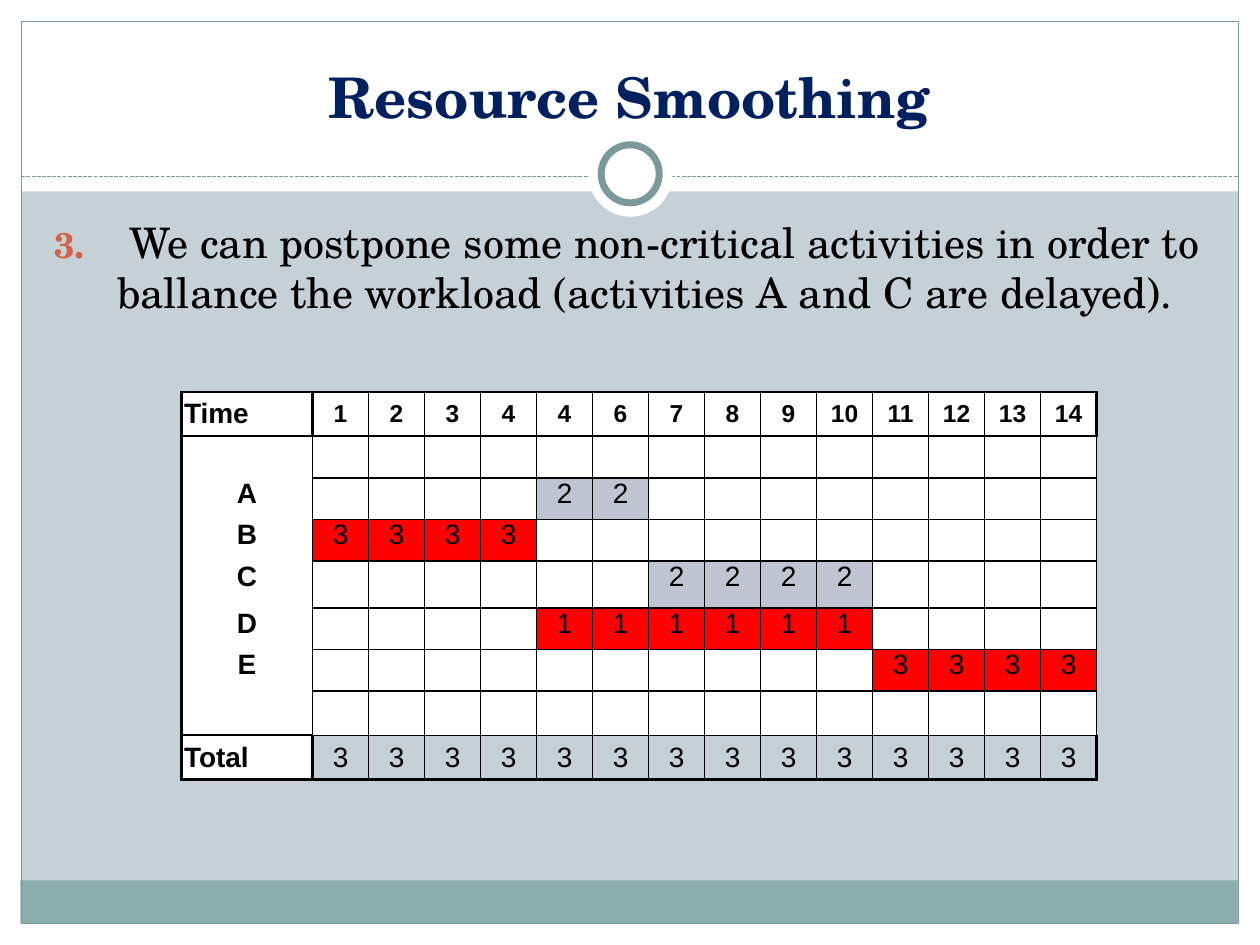
from lxml import etree
from pptx import Presentation
from pptx import util as u
from pptx.dml.color import RGBColor
from pptx.enum import dml, shapes, text
from pptx.oxml import ns

COLORS = {
    "white": "FFFFFF", "black": "000000", "canvas": "C5D1D7",
    "band": "8CADAE", "rule": "7C999A", "title": "002060",
    "number": "D16349", "noncritical": "C0C3D0", "critical": "FF0000",
}


def rgb(name):
    return RGBColor.from_string(COLORS[name])


class Deck:
    """Holds the style and the current slide."""
    serif, sans = "TeX Gyre Schola", "Arial"

    def __init__(self, prs):
        self.s = prs.slides.add_slide(prs.slide_layouts[6])
        self.s.background.fill.solid()
        self.s.background.fill.fore_color.rgb = rgb("canvas")

    def shape(self, kind, x, y, w, h, fill=None, line=None, width=0.75):
        sp = self.s.shapes.add_shape(kind, u.Cm(x), u.Cm(y), u.Cm(w), u.Cm(h))
        sp.shadow.inherit = False
        self.paint(sp.fill, fill)
        self.paint(sp.line.fill, line)
        if line:
            sp.line.width = u.Pt(width)
        return sp

    def paint(self, fill, color):
        if color:
            fill.solid()
            fill.fore_color.rgb = rgb(color)
        else:
            fill.background()

    def dashed_line(self, x1, y1, x2, y2, color):
        cn = self.s.shapes.add_connector(shapes.MSO_CONNECTOR.STRAIGHT,
                                         u.Cm(x1), u.Cm(y1), u.Cm(x2), u.Cm(y2))
        cn.line.color.rgb = rgb(color)
        cn.line.width = u.Pt(0.75)
        cn.line.dash_style = dml.MSO_LINE.SQUARE_DOT
        etree.SubElement(cn._element.spPr, ns.qn("a:effectLst"))

    def text_box(self, x, y, w, h, anchor):
        sp = self.s.shapes.add_textbox(u.Cm(x), u.Cm(y), u.Cm(w), u.Cm(h))
        tf = sp.text_frame
        tf.word_wrap = True
        tf.vertical_anchor = anchor
        return tf.paragraphs[0]

    def run(self, p, words, size, font, color="black", bold=False):
        r = p.add_run()
        r.text = words
        r.font.size, r.font.name, r.font.bold = u.Pt(size), font, bold
        r.font.color.rgb = rgb(color)

    def number(self, p, start, color, indent):
        pPr = p._p.get_or_add_pPr()
        pPr.set("marL", str(u.Cm(indent)))
        pPr.set("indent", str(-u.Cm(indent)))
        clr = etree.SubElement(pPr, ns.qn("a:buClr"))
        etree.SubElement(clr, ns.qn("a:srgbClr"), val=COLORS[color])
        etree.SubElement(pPr, ns.qn("a:buSzPct"), val="85000")
        etree.SubElement(pPr, ns.qn("a:buFont"), typeface=self.serif)
        etree.SubElement(pPr, ns.qn("a:buAutoNum"), type="arabicPeriod",
                         startAt=str(start))

    def table(self, x, y, cols, rows):
        frame = self.s.shapes.add_table(len(rows), len(cols), u.Cm(x), u.Cm(y),
                                        u.Cm(sum(cols)), u.Cm(sum(rows)))
        tbl = frame.table
        tbl.first_row = tbl.horz_banding = False
        for col, w in zip(tbl.columns, cols):
            col.width = u.Cm(w)
        for row, h in zip(tbl.rows, rows):
            row.height = u.Cm(h)
        return tbl

    def cell(self, cell, words, fill, borders, size=16, bold=False,
             align=text.PP_ALIGN.CENTER, anchor=text.MSO_ANCHOR.TOP):
        cell.margin_left = cell.margin_right = u.Cm(0.05)
        cell.margin_top = cell.margin_bottom = 0
        cell.vertical_anchor = anchor
        p = cell.text_frame.paragraphs[0]
        p.alignment = align
        if words:
            self.run(p, words, size, self.sans, bold=bold)
        else:
            p.line_spacing = u.Pt(10)
        tcPr = cell._tc.get_or_add_tcPr()
        for side, width in zip("LRTB", borders):
            ln = etree.SubElement(tcPr, ns.qn(f"a:ln{side}"), w=str(u.Pt(width)))
            if width:
                solid = etree.SubElement(ln, ns.qn("a:solidFill"))
                etree.SubElement(solid, ns.qn("a:srgbClr"), val=COLORS["black"])
            else:
                etree.SubElement(ln, ns.qn("a:noFill"))
        self.paint(cell.fill, fill)


# Schedule grid: an unlined margin surrounds rows 1-9 and columns 1-15
HEADER, TOTAL, LABEL, LAST = 1, 9, 1, 15
COL_WIDTHS = [1.37, 2.64] + [1.13] * 14 + [0.97]
ROW_HEIGHTS = [0.71, 0.89, 0.84, 0.84, 0.84, 0.94, 0.84, 0.84, 0.89, 0.89]
TIMES = [1, 2, 3, 4, 4, 6, 7, 8, 9, 10, 11, 12, 13, 14]
# row: (activity, first slot, last slot, workload, kind)
ACTIVITIES = {
    3: ("A", 5, 6, 2, "noncritical"),
    4: ("B", 1, 4, 3, "critical"),
    5: ("C", 7, 10, 2, "noncritical"),
    6: ("D", 5, 10, 1, "critical"),
    7: ("E", 11, 14, 3, "critical"),
}


def line_above(row, col):
    if row == 0 or not LABEL <= col <= LAST:
        return 0
    if row in (HEADER, TOTAL + 1):
        return 1.5
    if col == LABEL:
        return 1.5 if row in (HEADER + 1, TOTAL) else 0
    return 1


def line_left(row, col):
    if row == 0 or not LABEL <= col <= LAST + 1:
        return 0
    if col == LABEL:
        return 1.5
    return 1.5 if col in (LABEL + 1, LAST + 1) and row in (HEADER, TOTAL) else 1


def content(row, col):
    """Words and fill of one schedule cell."""
    if row == 0 or not LABEL <= col <= LAST:
        return "", None
    slot = col - LABEL
    if row == HEADER:
        return (str(TIMES[slot - 1]) if slot else "Time"), "white"
    if row == TOTAL:
        return ("3", None) if slot else ("Total", "white")
    if row in ACTIVITIES:
        name, first, last, load, kind = ACTIVITIES[row]
        if not slot:
            return name, "white"
        if first <= slot <= last:
            return str(load), kind
    return "", "white"


def main():
    prs = Presentation()
    prs.slide_width, prs.slide_height = u.Cm(25.4), u.Cm(19.05)
    d = Deck(prs)
    rect, oval = shapes.MSO_SHAPE.RECTANGLE, shapes.MSO_SHAPE.OVAL

    # White margins, footer band and frame
    for box in ((0, 18.62, 25.4, 0.43), (0, 0, 25.4, 3.86),
                (0, 0, 0.43, 19.05), (24.97, 0, 0.43, 19.05)):
        d.shape(rect, *box, fill="white")
    d.shape(rect, 0.41, 17.75, 24.54, 0.86, fill="band")
    d.shape(rect, 0.43, 0.43, 24.54, 18.19, line="rule")

    # Dashed divider with ring
    d.dashed_line(0.43, 3.56, 24.97, 3.56, "rule")
    d.shape(oval, 11.86, 2.67, 1.7, 1.7, fill="white")
    d.shape(oval, 12.12, 2.92, 1.17, 1.17, fill="white", line="rule", width=4)

    # Title
    p = d.text_box(0.84, 0.64, 23.7, 2.11, text.MSO_ANCHOR.BOTTOM)
    p.alignment = text.PP_ALIGN.CENTER
    d.run(p, "Resource Smoothing", 32, d.serif, "title", bold=True)

    # Numbered point
    p = d.text_box(0.84, 4.24, 23.77, 12.7, text.MSO_ANCHOR.TOP)
    p.space_before = u.Pt(4.8)
    d.number(p, 3, "number", 1.27)
    d.run(p, " ", 24, d.serif, bold=True)
    d.run(p, "We can postpone some non-critical activities in order to ballance "
             "the workload (activities A and C are delayed).", 24, d.serif)

    # Schedule table
    tbl = d.table(2.29, 7.14, COL_WIDTHS, ROW_HEIGHTS)
    for row in range(len(ROW_HEIGHTS)):
        edge_row = row in (HEADER, TOTAL)
        for col in range(len(COL_WIDTHS)):
            words, fill = content(row, col)
            borders = (line_left(row, col), line_left(row, col + 1),
                       line_above(row, col), line_above(row + 1, col))
            label = col == LABEL
            d.cell(tbl.cell(row, col), words, fill, borders,
                   size=14 if row == HEADER and not label else 16,
                   bold=label or row == HEADER,
                   align=text.PP_ALIGN.LEFT if label and edge_row
                   else text.PP_ALIGN.CENTER,
                   anchor=text.MSO_ANCHOR.MIDDLE if edge_row
                   else text.MSO_ANCHOR.TOP)

    prs.save("out.pptx")


if __name__ == "__main__":
    main()
